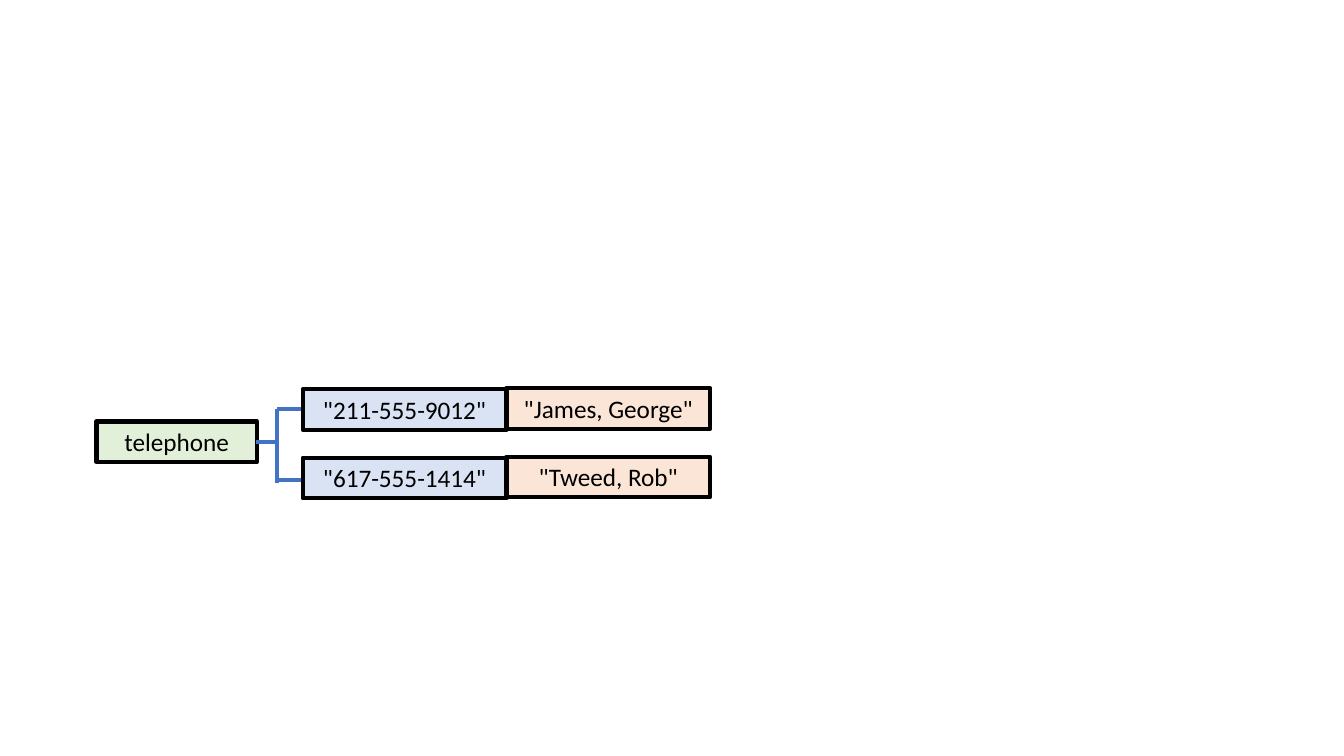
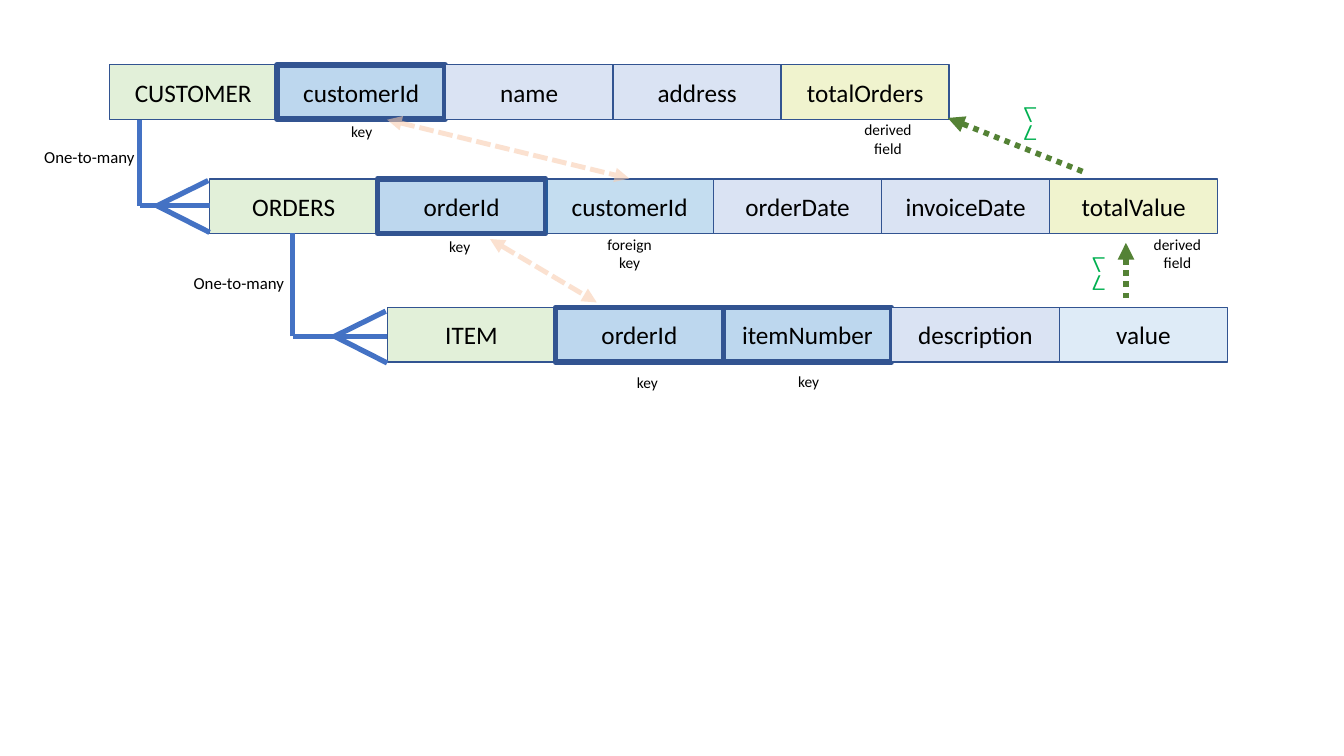
from lxml import etree
from pptx import Presentation
from pptx.dml.color import RGBColor
from pptx.enum.dml import MSO_LINE
from pptx.enum.shapes import MSO_CONNECTOR, MSO_SHAPE
from pptx.enum.text import MSO_ANCHOR, MSO_AUTO_SIZE, PP_ALIGN
from pptx.oxml.ns import qn
from pptx.util import Pt

STRAIGHT = MSO_CONNECTOR.STRAIGHT
RECTANGLE = MSO_SHAPE.RECTANGLE
DASH, DOT = MSO_LINE.SQUARE_DOT, MSO_LINE.ROUND_DOT
LEFT, CENTER = PP_ALIGN.LEFT, PP_ALIGN.CENTER
TOP, MIDDLE = MSO_ANCHOR.TOP, MSO_ANCHOR.MIDDLE
FIT_SHAPE, NO_FIT = MSO_AUTO_SIZE.SHAPE_TO_FIT_TEXT, MSO_AUTO_SIZE.NONE
FONT = "Calibri"
COLORS = {
    "black": "000000",
    "table": "E2F0D9",
    "field": "DAE3F3",
    "key": "BDD7EE",
    "foreign": "0070C0",
    "derived": "F0F3CE",
    "source": "DEEBF7",
    "data": "FBE5D6",
    "border": "325491",
    "branch": "4472C4",
    "link": "F8CBAD",
    "total": "548235",
    "sum": "00B050",
}


def add_text(slide, bounds, text, size=18, color="black", align=CENTER,
             fill=None, border="black", weight=3, anchor=TOP, fit=FIT_SHAPE):
    bounds = [Pt(length) for length in bounds]
    if fill:
        shape = slide.shapes.add_shape(RECTANGLE, *bounds)
        shape.shadow.inherit = False
        shape.fill.solid()
        shape.fill.fore_color.rgb = RGBColor.from_string(COLORS[fill])
        shape.line.color.rgb = RGBColor.from_string(COLORS[border])
        shape.line.width = Pt(weight)
    else:
        shape = slide.shapes.add_textbox(*bounds)
    frame = shape.text_frame
    frame.word_wrap = bool(fill)
    frame.auto_size = fit
    frame.vertical_anchor = anchor
    for index, line in enumerate(text.split("\n")):
        paragraph = frame.add_paragraph() if index else frame.paragraphs[0]
        paragraph.alignment = align
        run = paragraph.add_run()
        run.text = line
        run.font.name = FONT
        run.font.size = Pt(size)
        run.font.color.rgb = RGBColor.from_string(COLORS[color])
    return shape


def add_line(slide, points, color="branch", weight=3, dash=None, arrows=(), alpha=None):
    connector = slide.shapes.add_connector(STRAIGHT, *[Pt(length) for length in points])
    connector.line.color.rgb = RGBColor.from_string(COLORS[color])
    connector.line.width = Pt(weight)
    if dash:
        connector.line.dash_style = dash
    properties = connector._element.spPr
    outline = properties.find(qn("a:ln"))
    for end in arrows:
        etree.SubElement(outline, qn(f"a:{end}"), type="triangle")
    if alpha:
        etree.SubElement(outline.find(".//" + qn("a:srgbClr")), qn("a:alpha"), val=str(alpha * 1000))
    etree.SubElement(properties, qn("a:effectLst"))


presentation = Presentation()
presentation.slide_width, presentation.slide_height = Pt(960), Pt(540)
blank_layout = presentation.slide_layouts[6]

phone_slide = presentation.slides.add_slide(blank_layout)
add_text(phone_slide, (69, 301, 114.5, 29), "telephone", fill="table")
for points in [(183, 316, 198, 316), (198, 292, 198, 345), (198, 292, 216, 292), (198, 343, 216.5, 343)]:
    add_line(phone_slide, points)
for row, (number, name) in enumerate([
    ('"211-555-9012"', '"James, George"'),
    ('"617-555-1414"', '"Tweed, Rob"'),
]):
    top = 278 + 49 * row
    add_text(phone_slide, (216.25, top, 145.5, 29), number, fill="field")
    add_text(phone_slide, (361.75, top - 0.75, 145.5, 29), name, fill="data")

schema_slide = presentation.slides.add_slide(blank_layout)
field_width, field_height = 120, 39
tables = [
    (78, 46.25, [("CUSTOMER", "table"), ("customerId", "key"), ("name", "field"),
                 ("address", "field"), ("totalOrders", "derived")]),
    (149.75, 127.75, [("ORDERS", "table"), ("orderId", "key"), ("customerId", "foreign"),
                      ("orderDate", "field"), ("invoiceDate", "field"), ("totalValue", "derived")]),
    (276.75, 219.75, [("ITEM", "table"), ("orderId", "key"), ("itemNumber", "key"),
                      ("description", "field"), ("value", "source")]),
]
for left, top, fields in tables:
    for column, (name, role) in enumerate(fields):
        bounds = (left + column * field_width, top, field_width, field_height)
        field = add_text(schema_slide, bounds, name, fill=role, border="border",
                         weight=4 if role == "key" else 1, anchor=MIDDLE, fit=NO_FIT)
        if role == "foreign":
            fill_color = field._element.spPr.find(qn("a:solidFill")).find(qn("a:srgbClr"))
            etree.SubElement(fill_color, qn("a:alpha"), val="23000")

for stem, top, middle, child in [(99.75, 85.5, 147, 149.75), (209, 166.5, 240.25, 276.5)]:
    fork = child - 37.5
    for points in [
        (stem, middle, stem, top),
        (stem, middle, child, middle),
        (child - 1, middle - 18, fork, middle),
        (child, middle + 19, fork, middle),
    ]:
        add_line(schema_slide, points, weight=3.75)

for left, top in [(24.5, 101), (131.25, 191)]:
    add_text(schema_slide, (left, top, 80, 21.75), "One-to-many", size=12, align=LEFT)

for points in [(276.5, 85.5, 449.5, 127.5), (350, 170.75, 426.25, 216)]:
    add_line(schema_slide, points, "link", 3.5, DASH, ("headEnd", "tailEnd"), 57)
for points in [(804.25, 213, 804.25, 173.5), (773.25, 122.5, 677, 84.25)]:
    add_line(schema_slide, points, "total", 4, DOT, ("tailEnd",))
for left, top in [(773.25, 178.5), (724.25, 71.25)]:
    add_text(schema_slide, (left, top, 31, 34), "⎲\n⎳", size=10.5, color="sum", align=LEFT)

for left, top, width, text in [
    (243.25, 83.5, 30.25, "key"),
    (313.25, 165.5, 30.25, "key"),
    (447.25, 262.75, 30.25, "key"),
    (562.5, 262.25, 30.25, "key"),
    (426.25, 164.25, 47, "foreign\nkey"),
    (816.5, 164.25, 49, "derived\nfield"),
    (609.75, 82.25, 49, "derived\nfield"),
]:
    height = 34 if "\n" in text else 20.75
    add_text(schema_slide, (left, top, width, height), text, size=11)

presentation.save("out.pptx")
